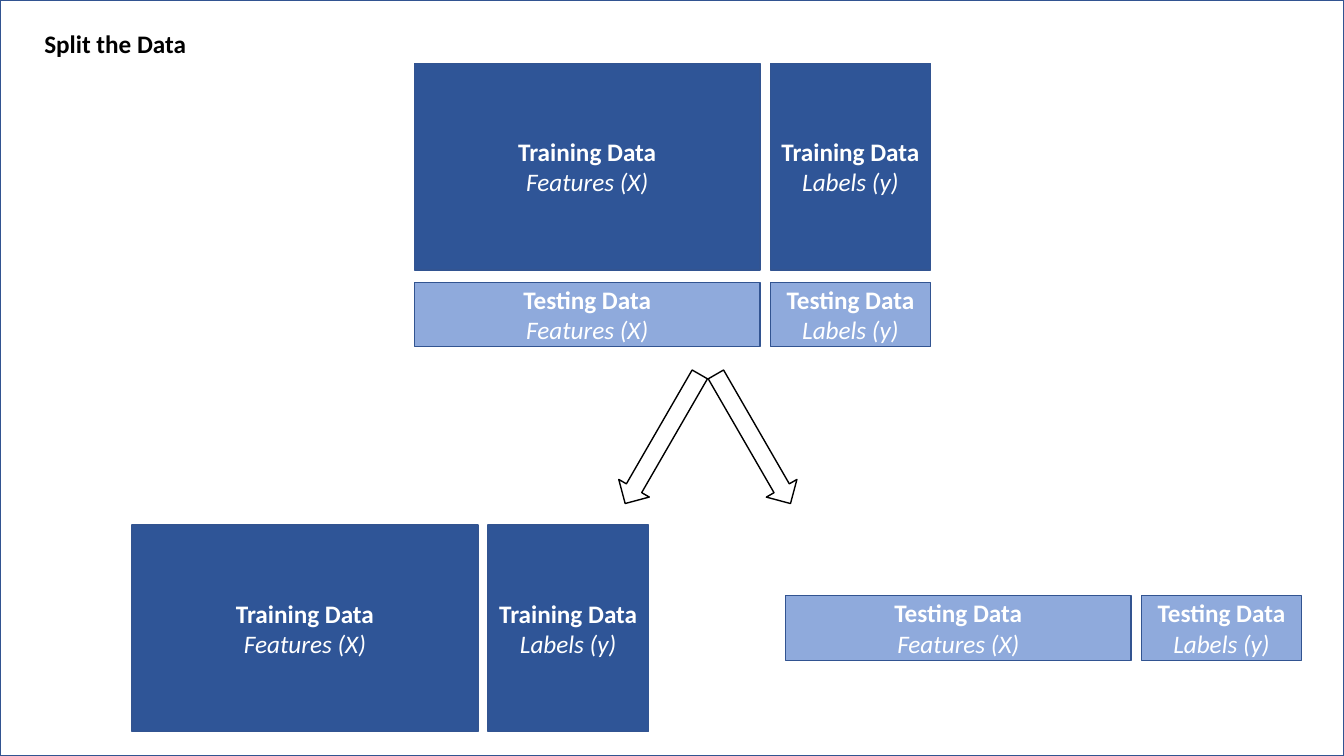
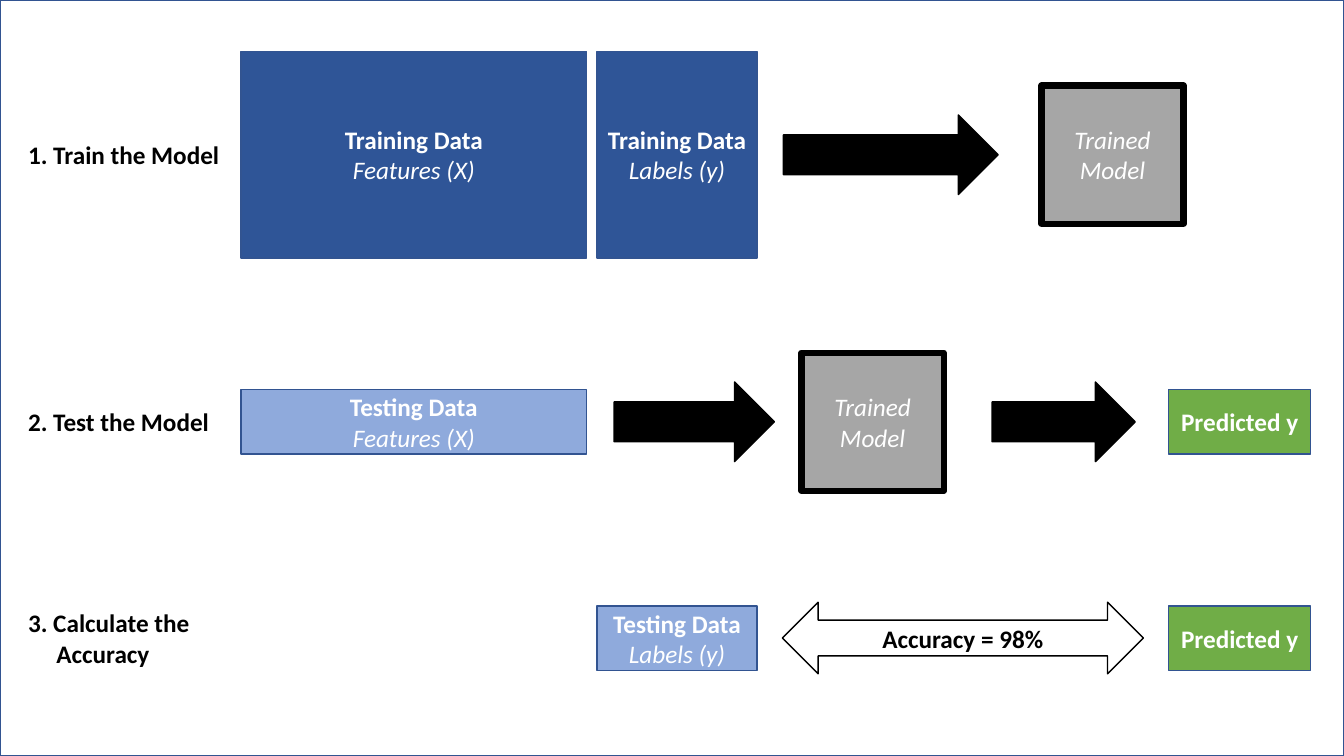
import pptx
import pptx.dml.color
import pptx.enum.shapes
import pptx.enum.text
import pptx.util

RGBColor = pptx.dml.color.RGBColor
SHAPE = pptx.enum.shapes.MSO_SHAPE
ALIGN = pptx.enum.text.PP_ALIGN
MIDDLE = pptx.enum.text.MSO_ANCHOR.MIDDLE

NAVY = RGBColor(0x2F, 0x55, 0x97)
OUTLINE = RGBColor(0x32, 0x54, 0x91)
LIGHT_BLUE = RGBColor(0x8F, 0xAA, 0xDC)
GREEN = RGBColor(0x70, 0xAD, 0x47)
GREY = RGBColor(0xA6, 0xA6, 0xA6)
BLACK = RGBColor(0, 0, 0)
WHITE = RGBColor(0xFF, 0xFF, 0xFF)
FONT = "Calibri"
BOLD, ITALIC = "bold", "italic"

prs = pptx.Presentation()
prs.slide_width = pptx.util.Inches(13.33)
prs.slide_height = pptx.util.Inches(7.5)

# Lengths are percentages: horizontal of the slide width, vertical of its height.
COL = prs.slide_width / 100
ROW = prs.slide_height / 100
GAP = 0.75
FEATURES_W, LABELS_W = 25.73, 11.93
TRAIN_H, TEST_H = 27.33, 8.53
MODEL_W, MODEL_H = 10.58, 18.27
HEADING_W, HEADING_H = 15.9, 5.33
ARROW_H = 10.53

TRAINING = ("Training Data", NAVY, TRAIN_H)
TESTING = ("Testing Data", LIGHT_BLUE, TEST_H)
FEATURES = ("Features (X)", 0, FEATURES_W)
LABELS = ("Labels (y)", FEATURES_W + GAP, LABELS_W)


def write(sp, lines, color, align):
    """Fill a shape with (text, style) lines, centred vertically."""
    tf = sp.text_frame
    tf.word_wrap = True
    tf.vertical_anchor = MIDDLE
    tf.text = "\n".join(text for text, style in lines)
    for p, (text, style) in zip(tf.paragraphs, lines):
        p.alignment = align
        for r in p.runs:
            r.font.name = FONT
            r.font.size = pptx.util.Pt(18)
            r.font.bold = style == BOLD
            r.font.italic = style == ITALIC
            r.font.color.rgb = color


def add_box(s, kind, x, mid, w, h, fill, line=OUTLINE, lines=(), color=WHITE, weight=1):
    """Add a preset shape whose vertical centre is at mid."""
    sp = s.shapes.add_shape(kind, int(x * COL), int((mid - h / 2) * ROW),
                            int(w * COL), int(h * ROW))
    sp.shadow.inherit = False
    if fill is None:
        sp.fill.background()
    else:
        sp.fill.solid()
        sp.fill.fore_color.rgb = fill
    sp.line.color.rgb = line
    sp.line.width = pptx.util.Pt(weight)
    if lines:
        write(sp, lines, color, ALIGN.CENTER)
    return sp


split = prs.slides.add_slide(prs.slide_layouts[5])
steps = prs.slides.add_slide(prs.slide_layouts[6])
for s in (split, steps):
    add_box(s, SHAPE.RECTANGLE, 0, 50, 100, 100, None)

# Data blocks: slide, left edge of the data set, row centre, set, part
blocks = [(split, x, mid, data, part)
          for x, mid, data in ((30.83, 22.07, TRAINING), (30.83, 41.6, TESTING),
                               (9.83, 83.13, TRAINING), (58.44, 83.07, TESTING))
          for part in (FEATURES, LABELS)]
TRAIN_ROW, TEST_ROW, ACCURACY_ROW = 20.47, 55.8, 84.4
DATA_X = 17.93
blocks += [(steps, DATA_X, TRAIN_ROW, TRAINING, FEATURES),
           (steps, DATA_X, TRAIN_ROW, TRAINING, LABELS),
           (steps, DATA_X, TEST_ROW, TESTING, FEATURES),
           (steps, DATA_X, ACCURACY_ROW, TESTING, LABELS)]
for s, x, mid, (name, fill, h), (part, offset, w) in blocks:
    add_box(s, SHAPE.RECTANGLE, x + offset, mid, w, h, fill,
            lines=[(name, BOLD), (part, ITALIC)])

# Slide 1: title and the two diverging arrows
title = split.shapes.title
title.left, title.top = int(2.55 * COL), int(3.07 * ROW)
title.width, title.height = int(HEADING_W * COL), int(HEADING_H * ROW)
write(title, [("Split the Data", BOLD)], BLACK, ALIGN.LEFT)
for x, angle in ((50.49, 60), (43.74, 120)):
    arrow = add_box(split, SHAPE.RIGHT_ARROW, x, 58.07, 11.1, 4.67, WHITE, BLACK)
    arrow.rotation = angle

# Slide 2: step headings, models, predictions and arrows
HANG = pptx.util.Inches(0.28)
for heading, mid, h in (("1. Train the Model", TRAIN_ROW, HEADING_H),
                        ("2. Test the Model", TEST_ROW, HEADING_H),
                        ("3. Calculate the\vAccuracy", ACCURACY_ROW, 9.47)):
    sp = steps.shapes.add_textbox(int(1.35 * COL), int((mid - h / 2) * ROW),
                                  int(HEADING_W * COL), int(h * ROW))
    write(sp, [(heading, BOLD)], BLACK, ALIGN.LEFT)
    pPr = sp.text_frame.paragraphs[0]._p.get_or_add_pPr()
    pPr.set("marL", str(HANG))
    pPr.set("indent", str(-HANG))

for x, mid in ((77.49, TRAIN_ROW), (59.64, TEST_ROW)):
    add_box(steps, SHAPE.RECTANGLE, x, mid, MODEL_W, MODEL_H, GREY, BLACK,
            [("Trained Model", ITALIC)], weight=4.5)
for mid in (TEST_ROW, ACCURACY_ROW):
    add_box(steps, SHAPE.RECTANGLE, 86.95, mid, MODEL_W, TEST_H, GREEN,
            lines=[("Predicted y", BOLD)])
for x, mid, w in ((58.29, TRAIN_ROW, 15.98), (45.69, TEST_ROW, 11.93),
                  (73.82, TEST_ROW, 10.65)):
    add_box(steps, SHAPE.RIGHT_ARROW, x, mid, w, ARROW_H, BLACK, BLACK)
add_box(steps, SHAPE.LEFT_RIGHT_ARROW, 58.21, ACCURACY_ROW, 26.86, 9.47, WHITE, BLACK,
        [("Accuracy = 98%", BOLD)], BLACK)

prs.save("out.pptx")
